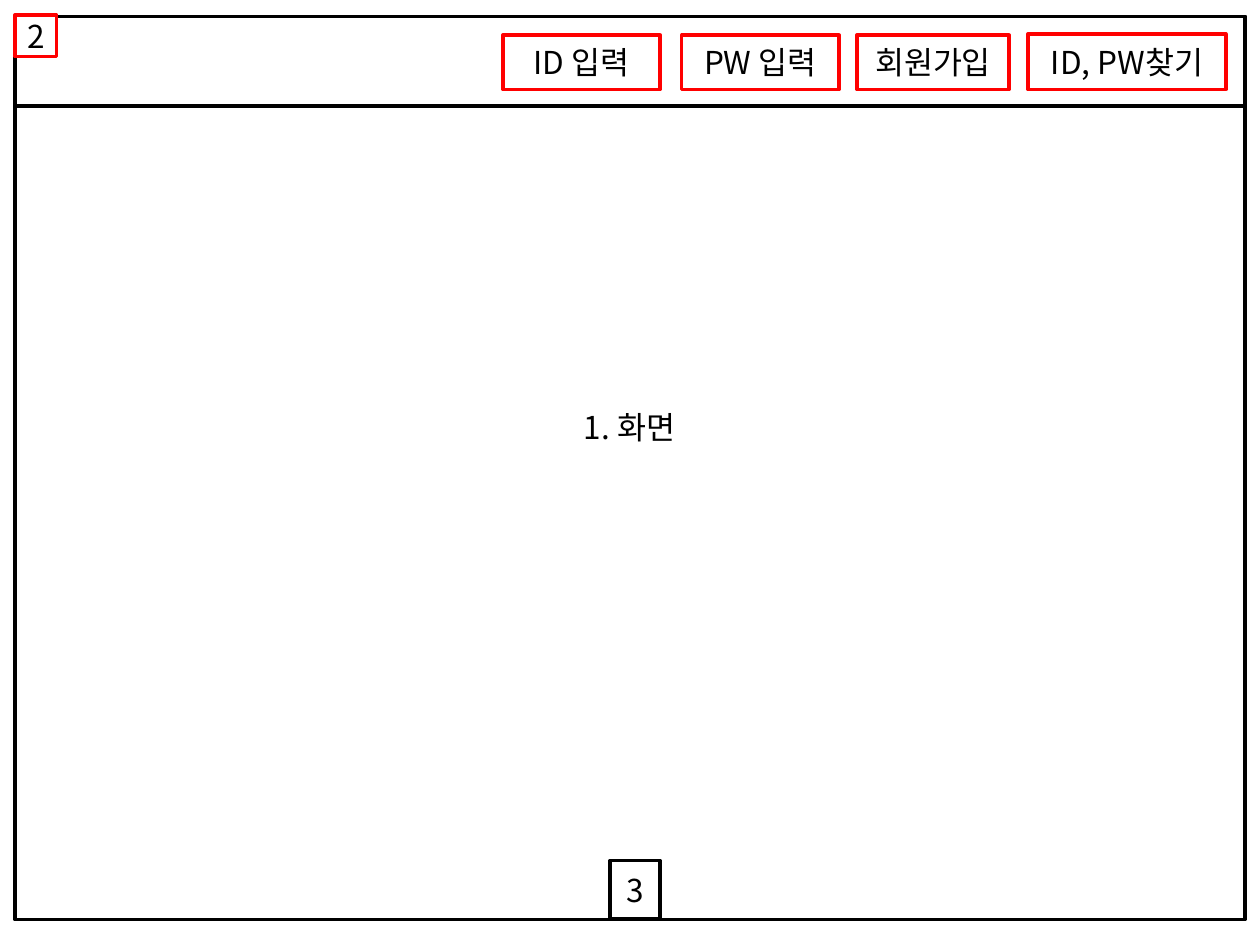
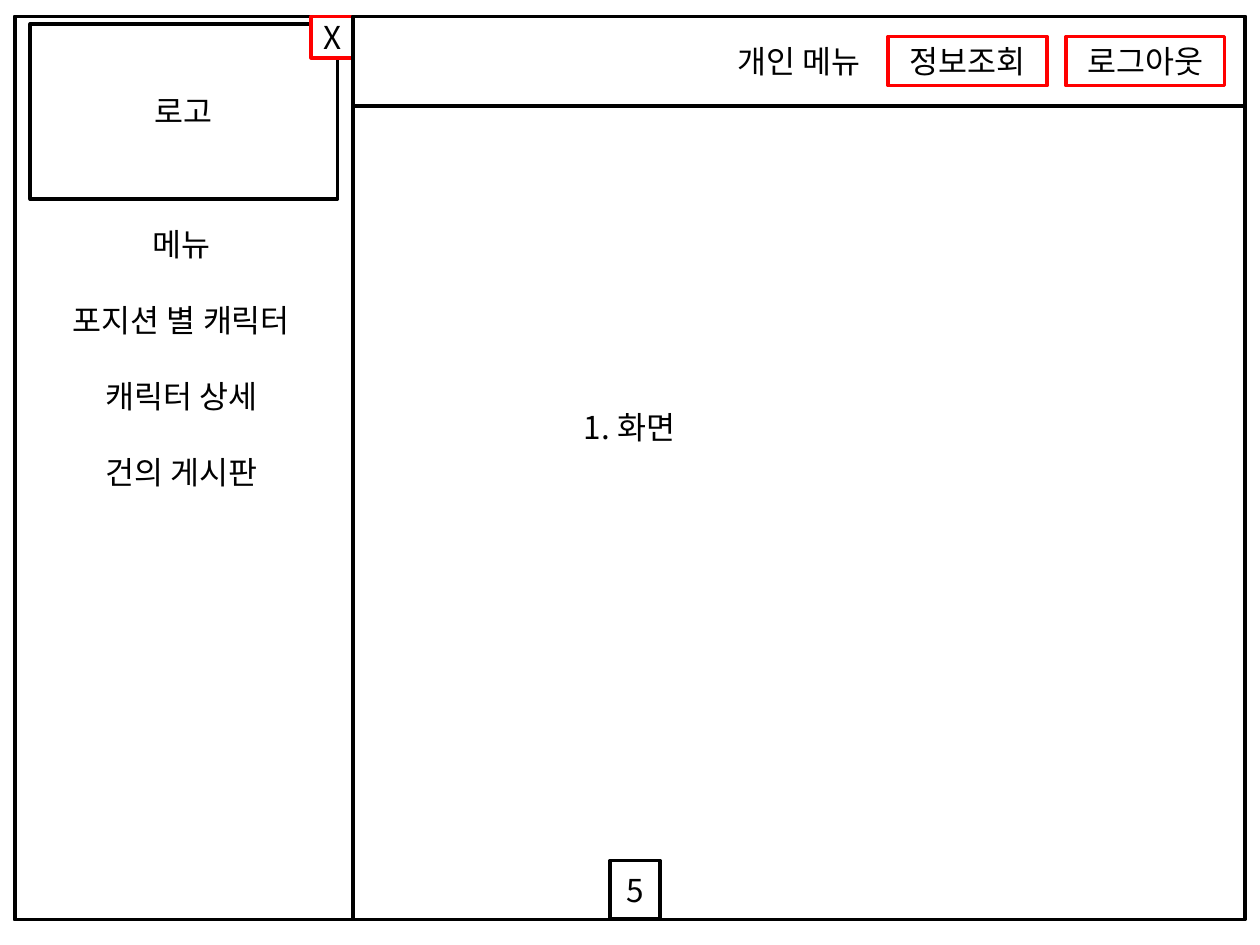
from dataclasses import dataclass

from lxml.etree import SubElement
from pptx import Presentation
from pptx.dml.color import RGBColor
from pptx.enum.shapes import MSO_SHAPE
from pptx.enum.text import MSO_ANCHOR, PP_ALIGN
from pptx.oxml.ns import qn
from pptx.util import Inches, Pt


@dataclass(frozen=True)
class Theme:
    """Hold the colours, type and line sizes of the deck."""
    ink: RGBColor = RGBColor(0, 0, 0)
    paper: RGBColor = RGBColor(255, 255, 255)
    accent: RGBColor = RGBColor(255, 0, 0)
    font: str = "Noto Sans CJK KR"
    size: Pt = Pt(18)
    stroke: Pt = Pt(2)
    menu_line: Pt = Pt(21.7)


@dataclass(frozen=True)
class Box:
    """Describe a rectangle in inches."""
    left: float
    top: float
    width: float
    height: float

    def inner(self, left, top, width, height):
        """Return a box placed relative to this one."""
        return Box(self.left + left, self.top + top, width, height)

    def lengths(self):
        """Return the four sides as slide lengths."""
        return [Inches(side) for side in (self.left, self.top, self.width, self.height)]


THEME = Theme()
FRAME = Box(0.12, 0.13, 9.76, 7.17)
HEADER_HEIGHT = 0.71
SIDEBAR_WIDTH = 2.68
BADGE_SIDE = 0.33


def set_values(target, values):
    """Set attributes of an object from a dict."""
    for name, value in values.items():
        setattr(target, name, value)


def write_text(shape, lines, paragraph_format=None):
    """Write centred lines in the theme font."""
    frame = shape.text_frame
    set_values(frame, {"word_wrap": True, "vertical_anchor": MSO_ANCHOR.MIDDLE})
    for index, line in enumerate(lines):
        para = frame.add_paragraph() if index else frame.paragraphs[0]
        set_values(para, {"alignment": PP_ALIGN.CENTER})
        set_values(para, paragraph_format or {})
        if index == 0:
            para.space_before = Pt(0)
        span = para.add_run()
        span.text = line
        set_values(span.font, {"name": THEME.font, "size": THEME.size})
        span.font.color.rgb = THEME.ink
        SubElement(span.font._element, qn("a:ea"), typeface=THEME.font)


def add_panel(shapes, box, text="", colour=THEME.ink):
    """Add an outlined rectangle with an optional label."""
    panel = shapes.add_shape(MSO_SHAPE.RECTANGLE, *box.lengths())
    panel.shadow.inherit = False
    panel.fill.solid()
    panel.fill.fore_color.rgb = THEME.paper
    panel.line.color.rgb = colour
    panel.line.width = THEME.stroke
    if text:
        write_text(panel, [text])


def add_label(shapes, box, lines, paragraph_format=None):
    """Add a plain text box."""
    write_text(shapes.add_textbox(*box.lengths()), lines, paragraph_format)


def add_screen(page, box, number):
    """Draw the screen frame, its caption and its number box."""
    add_panel(page.shapes, box)
    add_label(page.shapes, box.inner(3.38, 3.06, 2.99, 0.4), ["1. 화면"])
    add_panel(page.shapes, box.inner(4.72, 6.7, 0.4, 0.46), number)


def add_header(page, box, buttons, text="", badge=""):
    """Draw the header band with its buttons and corner badge."""
    shapes = page.shapes.add_group_shape().shapes
    add_panel(shapes, box, text)
    if badge:
        add_panel(shapes, box.inner(0, -0.01, BADGE_SIDE, BADGE_SIDE), badge, THEME.accent)
    for label, left, top, width, height in buttons:
        add_panel(shapes, box.inner(left, top, width, height), label, THEME.accent)


def add_sidebar(page, box, menu):
    """Draw the side menu with its logo area and close button."""
    shapes = page.shapes.add_group_shape().shapes
    add_panel(shapes, box)
    spacing = {"line_spacing": THEME.menu_line, "space_before": THEME.menu_line}
    add_label(shapes, box.inner(0.18, 1.6, 2.28, 2.22), menu, spacing)
    add_panel(shapes, box.inner(0.12, 0.06, 2.44, 1.39))
    add_label(shapes, box.inner(0.51, 0.55, 1.65, 0.4), ["로고"])
    close = box.inner(box.width - BADGE_SIDE, 0, BADGE_SIDE, BADGE_SIDE)
    add_panel(shapes, close, "X", THEME.accent)


def add_page(deck):
    """Add a blank page."""
    return deck.slides.add_slide(deck.slide_layouts[6])


def build_login_page(deck):
    """Build the screen shown before login."""
    page = add_page(deck)
    add_screen(page, FRAME, "3")
    buttons = [
        ("ID 입력", 3.87, 0.15, 1.25, 0.43),
        ("PW 입력", 5.29, 0.15, 1.25, 0.43),
        ("회원가입", 6.68, 0.15, 1.21, 0.43),
        ("ID, PW찾기", 8.04, 0.14, 1.57, 0.44),
    ]
    add_header(page, FRAME.inner(0, 0, FRAME.width, HEADER_HEIGHT), buttons, badge="2")


def build_member_page(deck):
    """Build the screen with the open side menu."""
    page = add_page(deck)
    add_screen(page, FRAME, "5")
    menu = ["메뉴", "포지션 별 캐릭터", "캐릭터 상세", "건의 게시판"]
    add_sidebar(page, FRAME.inner(0, 0, SIDEBAR_WIDTH, FRAME.height), menu)
    header = FRAME.inner(SIDEBAR_WIDTH, 0, FRAME.width - SIDEBAR_WIDTH, HEADER_HEIGHT)
    buttons = [
        (label, 4.25 + 1.41 * index, 0.16, 1.26, 0.39)
        for index, label in enumerate(["정보조회", "로그아웃"])
    ]
    add_header(page, header, buttons, text="개인 메뉴")


def main():
    """Build and save the deck."""
    deck = Presentation()
    set_values(deck, {"slide_width": Inches(10), "slide_height": Inches(7.5)})
    build_login_page(deck)
    build_member_page(deck)
    deck.save("out.pptx")


main()
